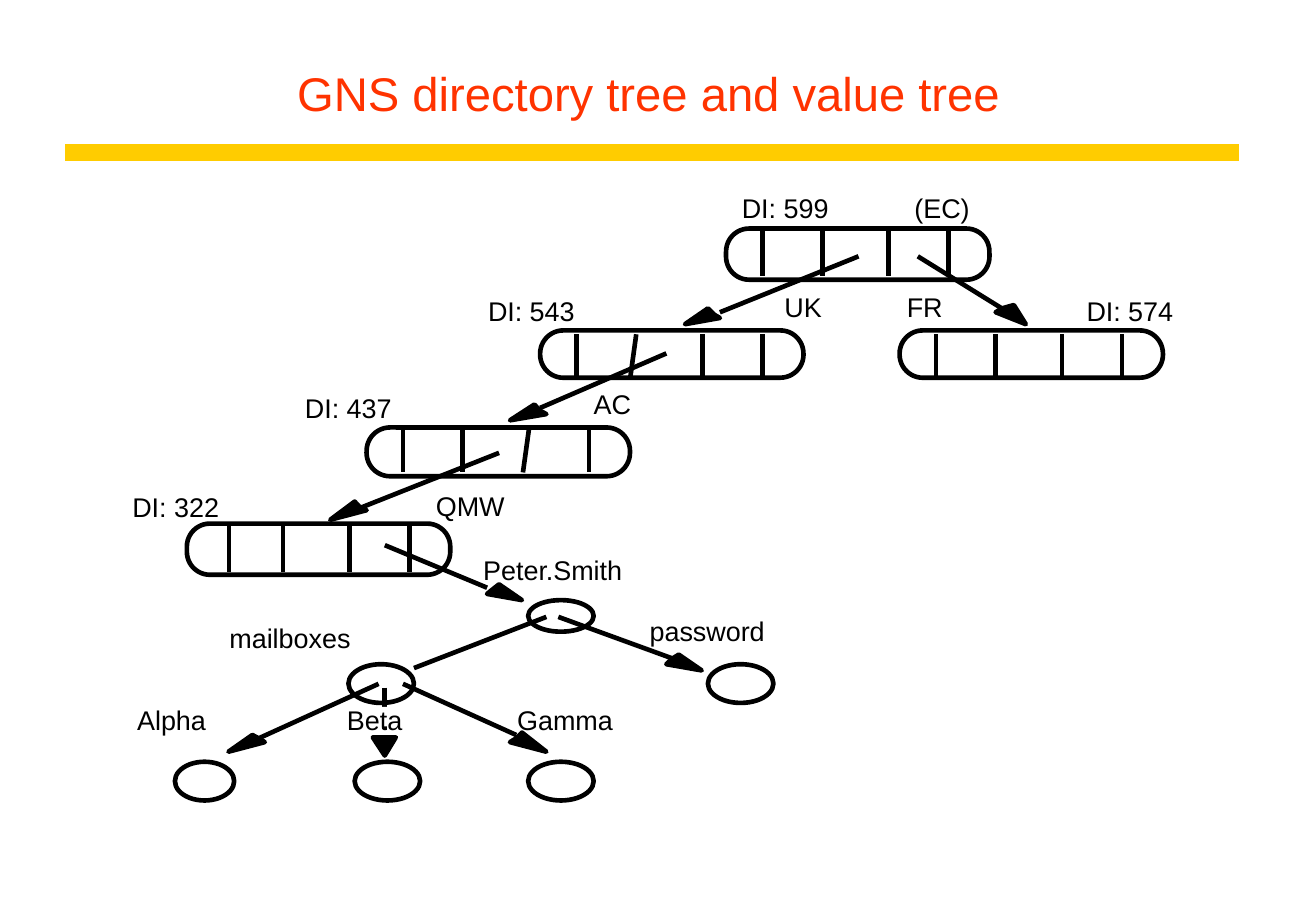
from dataclasses import dataclass

from lxml.etree import SubElement
from pptx import Presentation
from pptx.dml.color import RGBColor
from pptx.enum.shapes import MSO_CONNECTOR, MSO_SHAPE
from pptx.enum.text import MSO_ANCHOR as Anchor, MSO_AUTO_SIZE as AutoSize, PP_ALIGN as Align
from pptx.oxml.ns import qn
from pptx.util import Cm, Pt


@dataclass(frozen=True)
class Theme:
    ink: RGBColor = RGBColor(0x00, 0x00, 0x00)
    paper: RGBColor = RGBColor(0xFF, 0xFF, 0xFF)
    heading: RGBColor = RGBColor(0xFF, 0x33, 0x00)
    rule: RGBColor = RGBColor(0xFF, 0xCC, 0x00)
    font: str = "Arial"
    heading_size: Pt = Pt(28)
    label_size: Pt = Pt(16)
    stroke: Pt = Pt(2.75)
    rule_width: Pt = Pt(10)


theme = Theme()
deck = Presentation()
deck.slide_width, deck.slide_height = Cm(27.53), Cm(19.05)
page = deck.slides.add_slide(deck.slide_layouts[6])


def add_line(start, end, color=theme.ink, width=theme.stroke):
    line = page.shapes.add_connector(
        MSO_CONNECTOR.STRAIGHT, *(Cm(value) for value in (*start, *end)))
    line.line.color.rgb = color
    line.line.width = width
    SubElement(line._element.spPr, qn("a:effectLst"))


def add_text(words, place, size, color, frame_format, paragraph_format):
    box = page.shapes.add_textbox(*(Cm(value) for value in place))
    for name, value in frame_format.items():
        setattr(box.text_frame, name, value)
    para = box.text_frame.paragraphs[0]
    for name, value in paragraph_format.items():
        setattr(para, name, value)
    span = para.add_run()
    span.text = words
    span.font.name, span.font.size, span.font.color.rgb = theme.font, size, color


# Heading
add_line((1.37, 3.18), (25.91, 3.18), theme.rule, theme.rule_width)
add_text("GNS directory tree and value tree", (1.22, 0.64, 24.69, 2.03),
         theme.heading_size, theme.heading,
         {"word_wrap": True, "vertical_anchor": Anchor.BOTTOM},
         {"alignment": Align.CENTER, "line_spacing": 0.9})

# Directory nodes: left, top, height, rounding, divider drop, divider height,
# first divider, slanted divider
directories = [
    (15.19, 4.78, 1.07, 0.45, 0.05, 0.94, 0.76, None),
    (11.30, 6.91, 0.99, 0.49, 0.08, 0.94, 0.76, 1),
    (18.82, 6.91, 0.99, 0.49, 0.08, 0.94, 0.76, None),
    (7.67, 8.94, 1.02, 0.48, 0, 0.94, 0.76, 2),
    (3.91, 10.95, 1.07, 0.45, 0, 1.02, 0.88, None),
]
directory_width = 5.51
slant = 0.13
outlined = []
for left, top, height, rounding, drop, length, first, slanted in directories:
    node = page.shapes.add_shape(MSO_SHAPE.ROUNDED_RECTANGLE, Cm(left), Cm(top),
                                 Cm(directory_width), Cm(height))
    node.adjustments[0] = rounding
    outlined.append((node, theme.paper))
    for index, offset in enumerate((first, 2.01, 3.4, 4.65)):
        x, y = left + offset, top + drop
        lean = slant if index == slanted else 0
        add_line((x, y), (x - lean, y + length))

# Value nodes: left, top, width, height
values = [
    (11.05, 12.55, 1.37, 0.66),
    (7.29, 13.89, 1.37, 0.81),
    (14.81, 13.89, 1.37, 0.81),
    (3.66, 15.93, 1.24, 0.81),
    (7.42, 15.93, 1.37, 0.81),
    (11.05, 15.93, 1.37, 0.81),
]
for place in values:
    node = page.shapes.add_shape(MSO_SHAPE.OVAL, *(Cm(value) for value in place))
    outlined.append((node, theme.paper))

# Branches: start, end, arrowhead outline
branches = [
    ((17.96, 5.36), (15.06, 6.53),
     [(14.94, 6.58), (15.06, 6.65), (14.33, 6.78), (14.81, 6.45)]),
    ((19.20, 5.36), (20.96, 6.45),
     [(20.96, 6.45), (21.21, 6.38), (21.46, 6.78), (20.83, 6.53)]),
    ((13.94, 7.39), (11.30, 8.53),
     [(11.30, 8.59), (11.43, 8.66), (10.67, 8.79), (11.18, 8.46)]),
    ((10.44, 9.47), (7.54, 10.62),
     [(7.54, 10.62), (7.67, 10.67), (6.91, 10.87), (7.42, 10.49)]),
    ((8.05, 11.40), (10.19, 12.29),
     [(10.29, 12.34), (10.44, 12.22), (10.92, 12.55), (10.19, 12.42)]),
    ((11.68, 12.90), (14.07, 13.77),
     [(14.07, 13.77), (14.20, 13.69), (14.68, 14.02), (13.94, 13.89)]),
    ((11.43, 12.90), (8.66, 13.97), []),
    ((7.92, 14.30), (5.41, 15.44),
     [(5.41, 15.44), (5.54, 15.52), (4.78, 15.72), (5.28, 15.37)]),
    ((8.05, 14.38), (8.05, 15.24),
     [(8.05, 15.42), (8.28, 15.42), (8.05, 15.80), (7.80, 15.42)]),
    ((8.43, 14.30), (10.80, 15.37),
     [(10.80, 15.44), (10.92, 15.32), (11.43, 15.72), (10.67, 15.52)]),
]
for start, end, head in branches:
    add_line(start, end)
    if head:
        first, *rest = [(Cm(x), Cm(y)) for x, y in head]
        builder = page.shapes.build_freeform(*first)
        builder.add_line_segments(rest, close=True)
        outlined.append((builder.convert_to_shape(), theme.ink))

for shape, fill in outlined:
    shape.shadow.inherit = False
    shape.fill.solid()
    shape.fill.fore_color.rgb = fill
    shape.line.color.rgb = theme.ink
    shape.line.width = theme.stroke

# White band that keeps the Beta label clear of its branch
band = page.shapes.add_shape(MSO_SHAPE.RECTANGLE, Cm(7.04), Cm(14.78), Cm(2.13), Cm(0.41))
band.shadow.inherit = False
band.fill.solid()
band.fill.fore_color.rgb = theme.paper
band.line.fill.background()

# Labels: words, left, top, width
labels = [
    ("DI: 599", 15.52, 4.01, 1.98),
    ("(EC)", 19.13, 4.01, 1.17),
    ("UK", 16.41, 6.07, 0.79),
    ("FR", 18.97, 6.07, 0.76),
    ("DI: 543", 10.21, 6.17, 1.83),
    ("DI: 574", 22.73, 6.17, 1.83),
    ("AC", 12.42, 8.10, 0.79),
    ("DI: 437", 6.38, 8.18, 1.83),
    ("QMW", 9.12, 10.24, 1.45),
    ("DI: 322", 2.77, 10.26, 1.83),
    ("Peter.Smith", 10.11, 11.58, 2.95),
    ("password", 13.59, 12.85, 2.41),
    ("mailboxes", 4.80, 13.00, 2.54),
    ("Alpha", 2.87, 14.71, 1.45),
    ("Beta", 7.26, 14.71, 1.17),
    ("Gamma", 10.82, 14.71, 2.01),
]
label_frame = {"word_wrap": False, "auto_size": AutoSize.SHAPE_TO_FIT_TEXT,
               "margin_left": 0, "margin_top": 0, "margin_right": 0, "margin_bottom": 0}
for words, left, top, width in labels:
    add_text(words, (left, top, width, 0.69), theme.label_size, theme.ink,
             label_frame, {"alignment": Align.LEFT})

deck.save("out.pptx")
